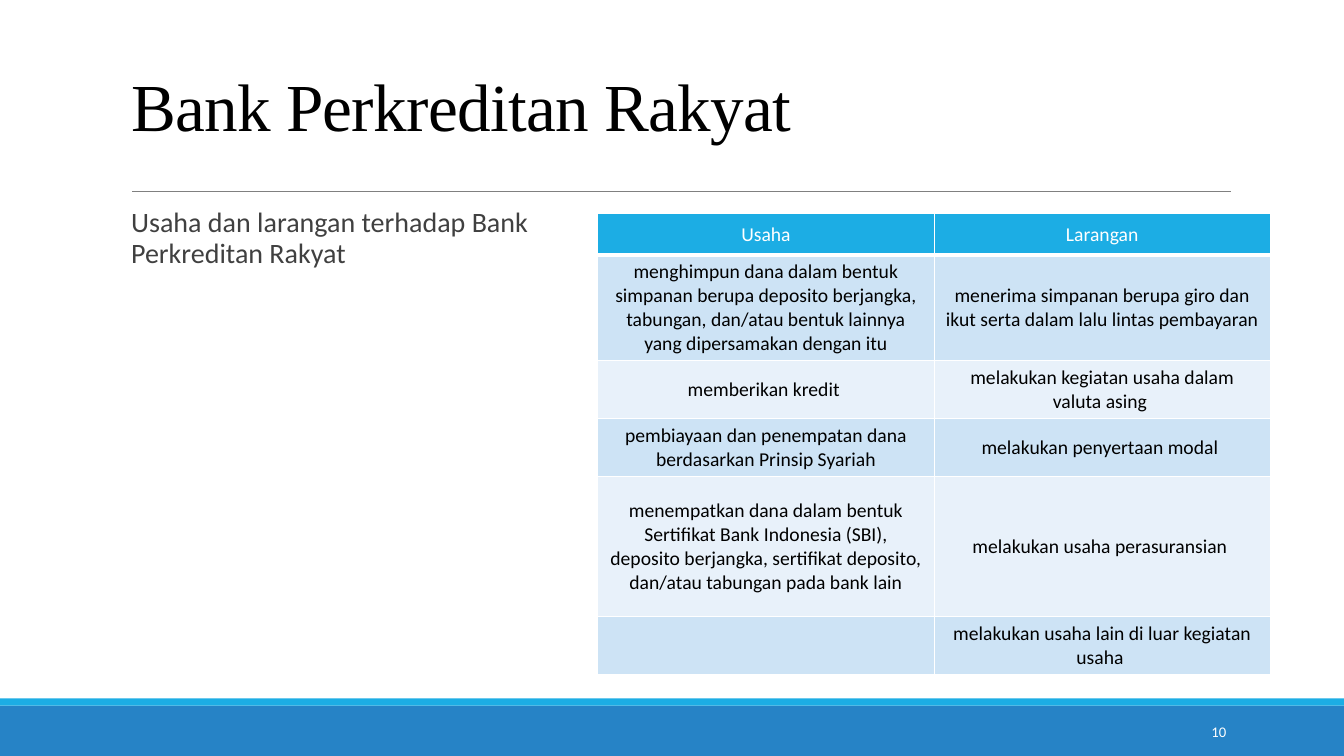
from dataclasses import dataclass

from lxml.etree import SubElement
from pptx import Presentation
from pptx.dml.color import RGBColor
from pptx.enum.shapes import MSO_CONNECTOR, MSO_SHAPE
from pptx.enum.text import MSO_ANCHOR, MSO_AUTO_SIZE, PP_ALIGN
from pptx.oxml.ns import qn
from pptx.util import Inches, Pt


@dataclass(frozen=True)
class Theme:
    white: str = "FFFFFF"
    black: str = "000000"
    ink: str = "404040"
    rule: str = "808080"
    blue: str = "2683C6"
    cyan: str = "1CADE4"
    bands: tuple = ("CDE3F5", "E8F1FA")
    serif: str = "Times New Roman"
    sans: str = "Calibri"
    title: float = 48
    body: float = 20
    cell: float = 14
    page: float = 10.5


THEME = Theme()

ROWS = [
    ("Usaha", "Larangan"),
    ("menghimpun dana dalam bentuk simpanan berupa deposito berjangka, "
     "tabungan, dan/atau bentuk lainnya yang dipersamakan dengan itu",
     "menerima simpanan berupa giro dan ikut serta dalam lalu lintas pembayaran "),
    ("memberikan kredit ", "melakukan kegiatan usaha dalam valuta asing "),
    ("pembiayaan dan penempatan dana berdasarkan Prinsip Syariah",
     "melakukan penyertaan modal "),
    ("menempatkan dana dalam bentuk Sertifikat Bank Indonesia (SBI), "
     "deposito berjangka, sertifikat deposito, dan/atau tabungan pada bank lain",
     "melakukan usaha perasuransian "),
    ("", "melakukan usaha lain di luar kegiatan usaha "),
]
HEIGHTS = [0.41, 1.05, 0.57, 0.57, 1.39, 0.57]


def color(code):
    return RGBColor.from_string(code)


def place(shape, left, top, width, height):
    shape.left, shape.top = Inches(left), Inches(top)
    shape.width, shape.height = Inches(width), Inches(height)


def write(frame, text, face, size, code, align=PP_ALIGN.LEFT):
    frame.text = text
    par = frame.paragraphs[0]
    par.alignment = align
    for run in par.runs:
        run.font.name = face
        run.font.size = Pt(size)
        run.font.color.rgb = color(code)
    return par


def add_bar(slide, top, height, code):
    bar = slide.shapes.add_shape(
        MSO_SHAPE.RECTANGLE, 0, Inches(top), Inches(13.33), Inches(height))
    bar.shadow.inherit = False
    bar.fill.solid()
    bar.fill.fore_color.rgb = color(code)
    bar.line.fill.background()


def add_rule(slide):
    rule = slide.shapes.add_connector(
        MSO_CONNECTOR.STRAIGHT, Inches(1.31), Inches(1.9), Inches(12.21), Inches(1.9))
    rule.line.color.rgb = color(THEME.rule)
    rule.line.width = Pt(0.5)
    SubElement(rule._element.spPr, qn("a:effectLst"))


def set_title(slide):
    title = slide.shapes.title
    place(title, 1.2, 0.31, 11, 1.59)
    frame = title.text_frame
    par = write(frame, "Bank Perkreditan Rakyat", THEME.serif, THEME.title, THEME.black)
    par.line_spacing = 0.85
    par.runs[0].font._element.set("spc", "-50")
    frame.vertical_anchor = MSO_ANCHOR.MIDDLE
    frame.auto_size = MSO_AUTO_SIZE.NONE


def set_body(slide):
    body = slide.placeholders[1]
    place(body, 1.2, 2.02, 4.35, 4.4)
    frame = body.text_frame
    frame.margin_left = frame.margin_right = 0
    frame.auto_size = MSO_AUTO_SIZE.NONE
    par = write(frame, "Usaha dan larangan terhadap Bank Perkreditan Rakyat",
                THEME.sans, THEME.body, THEME.ink)
    par.line_spacing = 0.9
    par.space_before, par.space_after = Pt(12), Pt(2)
    props = par._p.get_or_add_pPr()
    props.set("marL", str(Inches(0.1)))
    props.set("indent", str(-Inches(0.1)))
    tint = SubElement(props, qn("a:buClr"))
    SubElement(tint, qn("a:srgbClr"), val=THEME.cyan)
    SubElement(props, qn("a:buChar"), char=" ")


def add_edge(cell, side, width):
    edge = SubElement(cell._tc.get_or_add_tcPr(), qn(f"a:ln{side}"), w=str(Pt(width)))
    fill = SubElement(edge, qn("a:solidFill"))
    SubElement(fill, qn("a:srgbClr"), val=THEME.white)


def fill_cell(cell, text, row):
    head = row == 0
    write(cell.text_frame, text, THEME.sans, THEME.cell,
          THEME.white if head else THEME.black, PP_ALIGN.CENTER)
    cell.vertical_anchor = MSO_ANCHOR.MIDDLE
    for side in "LRTB":
        add_edge(cell, side, 3 if head and side == "B" else 1)
    cell.fill.solid()
    cell.fill.fore_color.rgb = color(THEME.cyan if head else THEME.bands[(row - 1) % 2])


def add_grid(slide):
    grid = slide.shapes.add_table(
        len(ROWS), 2, Inches(5.93), Inches(2.12),
        Inches(6.67), Inches(sum(HEIGHTS))).table
    for row, (texts, height) in enumerate(zip(ROWS, HEIGHTS)):
        grid.rows[row].height = Inches(height)
        for col, text in enumerate(texts):
            fill_cell(grid.cell(row, col), text, row)


def add_page(slide):
    box = slide.shapes.add_textbox(Inches(10.83), Inches(7.06), Inches(1.43), Inches(0.4))
    frame = box.text_frame
    frame.word_wrap = True
    frame.vertical_anchor = MSO_ANCHOR.MIDDLE
    write(frame, "10", THEME.sans, THEME.page, THEME.white, PP_ALIGN.RIGHT)


def main():
    deck = Presentation()
    deck.slide_width, deck.slide_height = Inches(13.33), Inches(7.5)
    slide = deck.slides.add_slide(deck.slide_layouts[1])
    add_bar(slide, 7, 0.5, THEME.blue)
    add_bar(slide, 6.93, 0.07, THEME.cyan)
    add_rule(slide)
    set_title(slide)
    set_body(slide)
    add_grid(slide)
    add_page(slide)
    deck.save("out.pptx")


if __name__ == "__main__":
    main()
